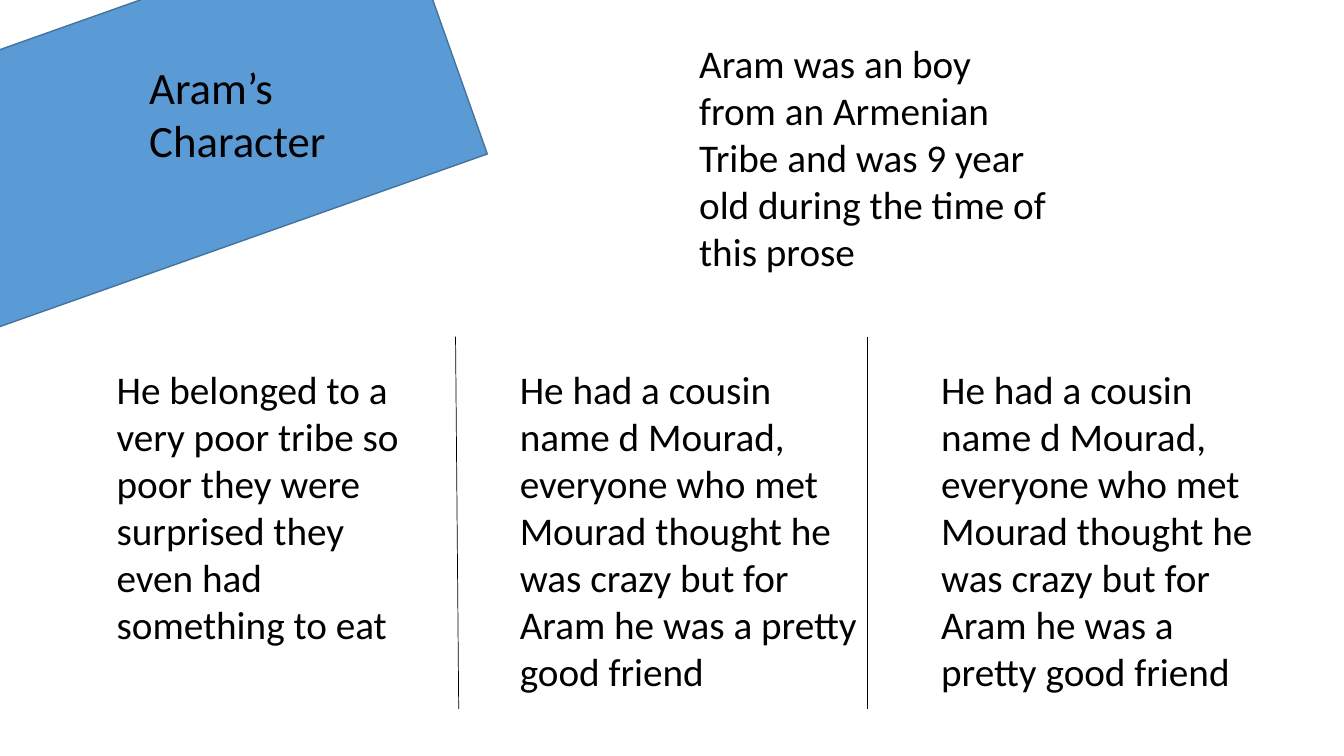
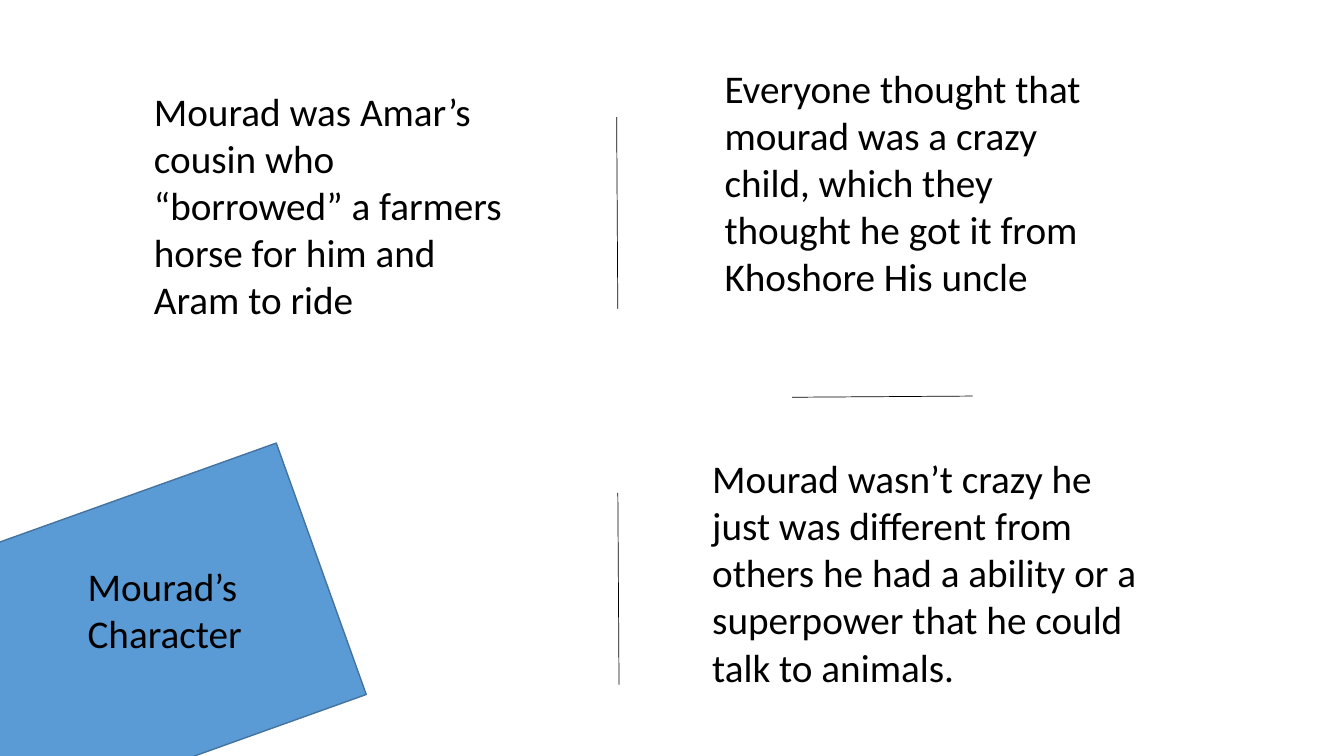
"""Build two slides on the characters Aram and Mourad."""
import dataclasses

import pptx
import pptx.dml.color
import pptx.enum.shapes
import pptx.enum.text
import pptx.oxml
import pptx.oxml.ns
import pptx.util

Cm = pptx.util.Cm
Pt = pptx.util.Pt
RGB = pptx.dml.color.RGBColor


@dataclasses.dataclass(frozen=True)
class Theme:
    """Hold the colours, font and sizes that the slides share."""
    font: str = "Calibri"
    ink: RGB = RGB(0x00, 0x00, 0x00)
    fill: RGB = RGB(0x5B, 0x9B, 0xD5)
    edge: RGB = RGB(0x43, 0x73, 0x9E)
    head: int = 32
    body: int = 28
    rule: float = 0.5
    rim: float = 1


THEME = Theme()
COUSIN = ("He had a cousin name d Mourad, everyone who met Mourad thought "
          "he was crazy but for Aram he was a pretty good friend")


def add_band(slide, left, top, width, height, angle):
    """Add a tilted blue band."""
    band = slide.shapes.add_shape(
        pptx.enum.shapes.MSO_SHAPE.RECTANGLE,
        Cm(left), Cm(top), Cm(width), Cm(height))
    band.rotation = angle
    band.shadow.inherit = False
    band.fill.solid()
    band.fill.fore_color.rgb = THEME.fill
    band.line.color.rgb = THEME.edge
    band.line.width = Pt(THEME.rim)


def add_text(slide, left, top, width, height, text, size=THEME.body):
    """Add a wrapped text box with one paragraph per line of text."""
    box = slide.shapes.add_textbox(Cm(left), Cm(top), Cm(width), Cm(height))
    frame = box.text_frame
    frame.word_wrap = True
    frame.auto_size = pptx.enum.text.MSO_AUTO_SIZE.SHAPE_TO_FIT_TEXT
    frame.text = text
    for para in frame.paragraphs:
        for run in para.runs:
            run.font.name = THEME.font
            run.font.size = Pt(size)
            run.font.color.rgb = THEME.ink


def add_rule(slide, left, top, right, bottom):
    """Add a thin line between two points."""
    rule = slide.shapes.add_connector(
        pptx.enum.shapes.MSO_CONNECTOR.STRAIGHT,
        Cm(left), Cm(top), Cm(right), Cm(bottom))
    rule.line.color.rgb = THEME.ink
    rule.line.width = Pt(THEME.rule)
    props = rule._element.spPr
    props.append(pptx.oxml.parse_xml(
        f"<a:effectLst {pptx.oxml.ns.nsdecls('a')}/>"))


def draw_aram(slide):
    """Draw the slide about Aram."""
    add_band(slide, -3.89, 0.08, 15.52, 6.58, 340.5)
    add_text(slide, 3.51, 1.37, 7.39, 3, "Aram’s Character", THEME.head)
    add_text(slide, 17.37, 0.86, 9.47, 7.01,
             "Aram was an boy from an Armenian Tribe and was 9 year old "
             "during the time of this prose")
    row = 9.07
    add_text(slide, 2.69, row, 8.2, 8.2,
             "He belonged to a very poor tribe so poor they were surprised "
             "they even had something to eat")
    for left, width in ((23.47, 8.46), (12.85, 9.02)):
        add_text(slide, left, row, width, 9.4, COUSIN)
    for start, end in ((11.48, 11.56), (21.87, 21.87)):
        add_rule(slide, start, 8.48, end, 17.86)


def draw_mourad(slide):
    """Draw the slide about Mourad."""
    add_band(slide, -5.56, 13.34, 14.07, 6.73, 340.3)
    add_text(slide, 1.96, 14.05, 4.83, 2.64, "Mourad’s\nCharacter")
    add_text(slide, 3.63, 2.08, 9.58, 7.01,
             "Mourad was Amar’s cousin who “borrowed” a farmers horse "
             "for him and Aram to ride")
    add_text(slide, 18.01, 1.5, 10.13, 8.2,
             "Everyone thought that mourad was a crazy child, which they "
             "thought he got it from Khoshore His uncle")
    add_text(slide, 17.7, 11.33, 11.61, 7.01,
             "Mourad wasn’t crazy he just was different from others he had "
             "a ability or a superpower that he could talk to animals.")
    for left, top in ((15.54, 2.95), (15.57, 12.42)):
        add_rule(slide, left, top, left + 0.03, top + 4.83)
    add_rule(slide, 24.51, 9.98, 19.96, 10.01)


def main():
    """Build and save the deck."""
    deck = pptx.Presentation()
    deck.slide_width = Cm(33.87)
    deck.slide_height = Cm(19.05)
    blank = deck.slide_layouts[6]
    for draw in (draw_aram, draw_mourad):
        draw(deck.slides.add_slide(blank))
    deck.save("out.pptx")


if __name__ == "__main__":
    main()
